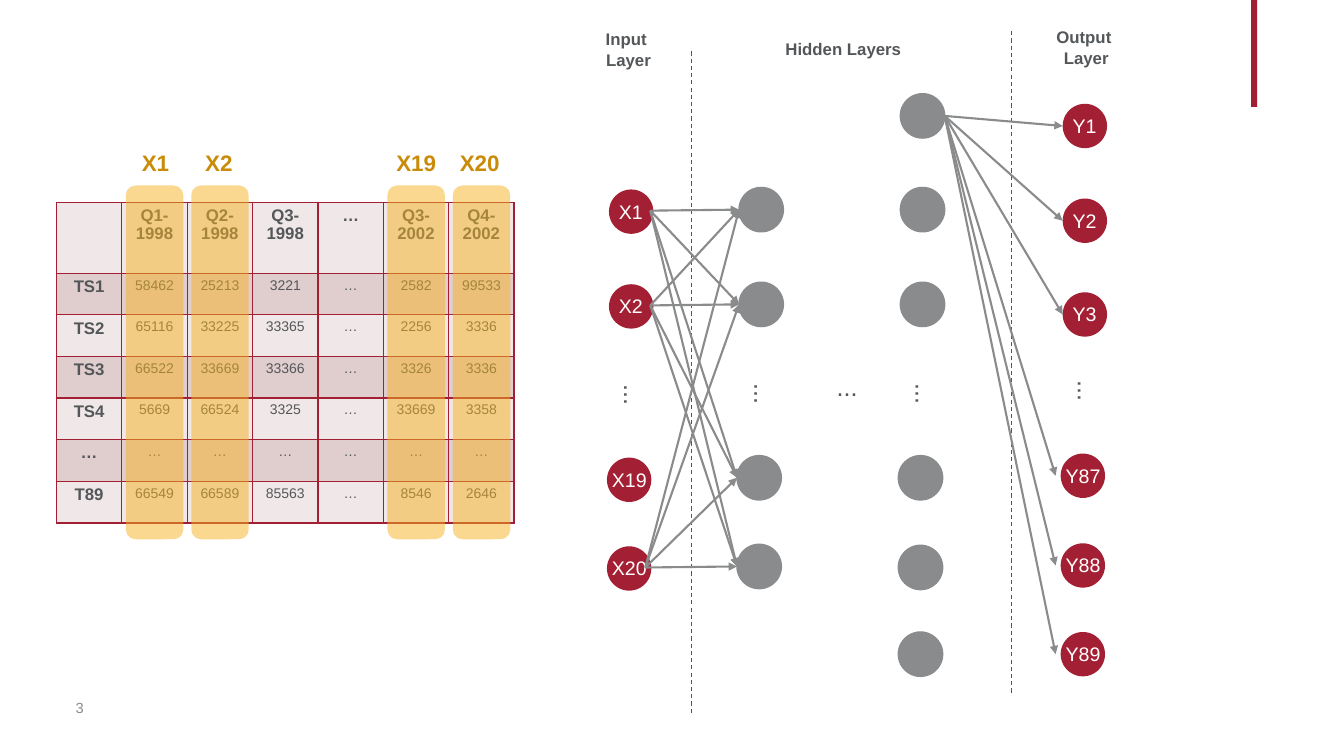
from lxml import etree
from pptx import Presentation
from pptx.dml.color import RGBColor
from pptx.enum.dml import MSO_LINE
from pptx.enum.shapes import MSO_CONNECTOR, MSO_SHAPE
from pptx.enum.text import MSO_ANCHOR, MSO_AUTO_SIZE, PP_ALIGN
from pptx.oxml.ns import qn
from pptx.util import Inches, Pt

CENTER, LEFT = PP_ALIGN.CENTER, PP_ALIGN.LEFT
MIDDLE, GROW = MSO_ANCHOR.MIDDLE, MSO_AUTO_SIZE.SHAPE_TO_FIT_TEXT
RECTANGLE, ROUNDED, OVAL = MSO_SHAPE.RECTANGLE, MSO_SHAPE.ROUNDED_RECTANGLE, MSO_SHAPE.OVAL
STRAIGHT, DASH = MSO_CONNECTOR.STRAIGHT, MSO_LINE.DASH

RED = RGBColor(0xA3, 0x1F, 0x34)
GRAY = RGBColor(0x8A, 0x8B, 0x8C)
DARK = RGBColor(0x54, 0x57, 0x59)
AMBER = RGBColor(0xF6, 0xB2, 0x21)
GOLD = RGBColor(0xC9, 0x8B, 0x08)
WHITE = RGBColor(0xFF, 0xFF, 0xFF)
BANDS = RGBColor(0xF0, 0xE8, 0xE8), RGBColor(0xE0, 0xCD, 0xCE)

NODE = 0.44
NODE_RADIUS = NODE / 2
UPPER_SHIFT = 0.02  # nodes above the ellipsis sit slightly to the right

SERIES = [
    ["", "Q1-1998", "Q2-1998", "Q3-1998", "…", "Q3-2002", "Q4-2002"],
    ["TS1", "58462", "25213", "3221", "…", "2582", "99533"],
    ["TS2", "65116", "33225", "33365", "…", "2256", "3336"],
    ["TS3", "66522", "33669", "33366", "…", "3326", "3336"],
    ["TS4", "5669", "66524", "3325", "…", "33669", "3358"],
    ["…"] * 7,
    ["T89", "66549", "66589", "85563", "…", "8546", "2646"],
]
# Column index, label, label offset from the highlight, label width
HIGHLIGHTS = [(1, "X1", 0.06, 0.54), (2, "X2", 0.04, 0.54),
              (5, "X19", -0.01, 0.65), (6, "X20", -0.03, 0.65)]


def write(paragraph, text, size, color, bold=False, align=LEFT):
    paragraph.text = text
    paragraph.alignment = align
    for name, value in {"name": "Arial", "size": Pt(size), "bold": bold}.items():
        setattr(paragraph.font, name, value)
    paragraph.font.color.rgb = color


def add_text(shapes, left, top, width, height, lines, size, color, **text_format):
    box = shapes.add_textbox(Inches(left), Inches(top), Inches(width), Inches(height))
    frame = box.text_frame
    frame.word_wrap = True
    frame.auto_size = GROW
    for index, line in enumerate(lines):
        paragraph = frame.add_paragraph() if index else frame.paragraphs[0]
        write(paragraph, line, size, color, **text_format)
    return box


def add_filled(shapes, kind, left, top, width, height, color):
    shape = shapes.add_shape(kind, Inches(left), Inches(top), Inches(width), Inches(height))
    shape.shadow.inherit = False
    shape.fill.solid()
    shape.fill.fore_color.rgb = color
    shape.line.fill.background()
    return shape


def add_line(slide, start, end, color, width):
    points = [Inches(value) for value in (*start, *end)]
    connector = slide.shapes.add_connector(STRAIGHT, *points)
    connector.line.color.rgb = color
    connector.line.width = Pt(width)
    etree.SubElement(connector._element.spPr, qn("a:effectLst"))
    return connector


def add_arrow(slide, start, end):
    arrow = add_line(slide, start, end, GRAY, 1.5)
    etree.SubElement(arrow.line._get_or_add_ln(), qn("a:tailEnd"), type="triangle")


def set_borders(cell, color):
    properties = cell._tc.get_or_add_tcPr()
    for index, side in enumerate(("lnL", "lnR", "lnT", "lnB")):
        border = etree.Element(qn(f"a:{side}"), w=str(Pt(1)))
        fill = etree.SubElement(border, qn("a:solidFill"))
        etree.SubElement(fill, qn("a:srgbClr"), val=str(color))
        properties.insert(index, border)


def add_series_table(slide, left, top, width, height):
    header_height = 0.7
    rows, columns = len(SERIES), len(SERIES[0])
    table = slide.shapes.add_table(rows, columns, Inches(left), Inches(top),
                                   Inches(width), Inches(height)).table
    column_width = width / columns
    for column in table.columns:
        column.width = Inches(column_width)
    for row_index, row in enumerate(table.rows):
        row.height = Inches((height - header_height) / (rows - 1) if row_index else header_height)
        for column_index, text in enumerate(SERIES[row_index]):
            cell = table.cell(row_index, column_index)
            cell.fill.solid()
            cell.fill.fore_color.rgb = BANDS[row_index % 2]
            set_borders(cell, RED)
            heading = row_index == 0 or column_index == 0
            paragraph = cell.text_frame.paragraphs[0]
            write(paragraph, text, 12 if heading else 10, DARK, heading, CENTER)
            paragraph.line_spacing = 0.95

    # Translucent highlights with their labels
    for column_index, label, offset, label_width in HIGHLIGHTS:
        highlight_left = left + column_index * column_width + 0.04
        highlight = add_filled(slide.shapes, ROUNDED, highlight_left, top - 0.17,
                               0.57, height + 0.33, AMBER)
        color = highlight.fill._xPr.find(f".//{qn('a:srgbClr')}")
        etree.SubElement(color, qn("a:alpha"), val="50000")
        add_text(slide.shapes, highlight_left + offset, top - 0.58, label_width, 0.37,
                 [label], 16, GOLD, bold=True)


def label_shift(name):
    return -0.05 if len(name) > 2 else 0


def add_layer(slide, left, top, drops, ellipsis_drop, names=()):
    """Draw one column of nodes and return their top left corners."""
    corners = [(left + UPPER_SHIFT * (drop < ellipsis_drop), top + drop) for drop in drops]
    for index, (node_left, node_top) in enumerate(corners):
        if names:
            shapes = slide.shapes.add_group_shape().shapes
            add_filled(shapes, OVAL, node_left, node_top, NODE, NODE, RED)
            add_text(shapes, node_left + label_shift(names[index]), node_top + 0.05,
                     0.57, 0.34, [names[index]], 14, WHITE)
        else:
            node = add_filled(slide.shapes, OVAL, node_left, node_top, NODE, NODE, GRAY)
            node.line.color.rgb = GRAY
            node.line.width = Pt(1)
    ellipsis = add_text(slide.shapes, left - 0.08, top + ellipsis_drop, 0.7, 0.4,
                        ["..."], 18, DARK)
    ellipsis.rotation = 90
    return corners


def add_network(slide, left, top):
    # Layers
    input_names = ["X1", "X2", "X19", "X20"]
    output_names = ["Y1", "Y2", "Y3", "Y87", "Y88", "Y89"]
    drops = [0, 0.94, 2.66, 3.54]
    inputs = add_layer(slide, left + 0.37, top + 1.66, drops, 1.99, input_names)
    first = add_layer(slide, left + 1.66, top + 1.64, drops, 2, [])
    last = add_layer(slide, left + 3.26, top + 0.71, [0, 0.93, 1.87, 3.59, 4.48, 5.34], 2.93)
    outputs = add_layer(slide, left + 4.87, top + 0.81,
                        [0, 0.94, 1.87, 3.47, 4.36, 5.24], 2.8, output_names)
    add_text(slide.shapes, left + 2.55, top + 3.41, 0.7, 0.4, ["..."], 18, DARK)

    # Headings
    for offset, drop, width, height, lines in (
            (0, 0.02, 1.12, 0.5, ["Input", " Layer"]),
            (1.35, 0.12, 2.73, 0.3, ["Hidden Layers"]),
            (4.44, 0, 1.32, 0.5, ["Output", " Layer"])):
        add_text(slide.shapes, left + offset, top + drop, width, height, lines, 12, DARK,
                 bold=True, align=CENTER)

    # Dashed dividers
    for offset, drop in ((1.21, 0.29), (4.38, 0.09)):
        x, y = left + offset, top + drop
        add_line(slide, (x, y), (x, y + 6.58), DARK, 0.75).line.dash_style = DASH

    # Connections
    for index, reach in ((0, 0.41), (1, 0.41), (3, 0.38)):
        x, y = inputs[index]
        for end_x, end_y in first:
            add_arrow(slide, (x + reach, y + 0.21), (end_x, end_y + NODE_RADIUS))
    start = last[0][0] + NODE, last[0][1] + NODE_RADIUS
    for name, (end_x, end_y) in zip(output_names, outputs):
        add_arrow(slide, start, (end_x + label_shift(name), end_y + NODE_RADIUS))


def add_page_furniture(slide):
    add_filled(slide.shapes, RECTANGLE, 12.41, 0, 0.06, 1.06, RED)
    number = add_text(slide.shapes, 0.75, 6.82, 0.27, 0.4, ["3"], 10.5, GRAY)
    for name, value in {"margin_left": 0, "margin_right": 0, "vertical_anchor": MIDDLE,
                        "auto_size": MSO_AUTO_SIZE.NONE}.items():
        setattr(number.text_frame, name, value)


def main():
    presentation = Presentation()
    presentation.slide_width = Inches(13.33)
    presentation.slide_height = Inches(7.5)
    slide = presentation.slides.add_slide(presentation.slide_layouts[6])
    add_page_furniture(slide)
    add_series_table(slide, 0.56, 2.01, 4.54, 3.18)
    add_network(slide, 5.65, 0.22)
    presentation.save("out.pptx")


if __name__ == "__main__":
    main()
